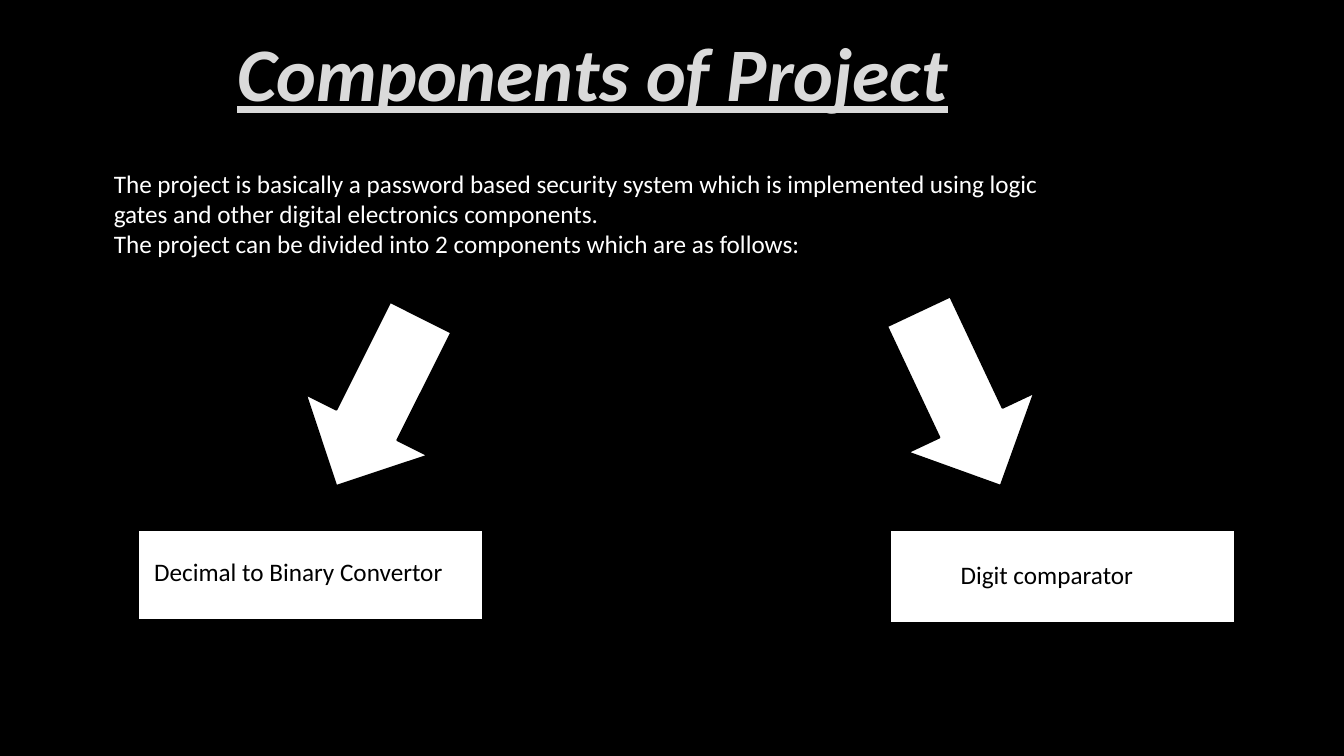
"""Build the slide that introduces the two components of the project."""
from pptx import Presentation
from pptx.dml.color import RGBColor
from pptx.enum.shapes import MSO_SHAPE as Shape
from pptx.enum.text import MSO_ANCHOR as Anchor, PP_ALIGN as Align
from pptx.util import Pt

COLORS = {"black": "000000", "white": "FFFFFF", "title": "DADADA"}

deck = Presentation()
deck.slide_width, deck.slide_height = Pt(960), Pt(540)
page = deck.slides.add_slide(deck.slide_layouts[6])
page.background.fill.solid()
page.background.fill.fore_color.rgb = RGBColor.from_string(COLORS["black"])


def add_text(left, top, width, height, lines, color, size=18, wrap=True):
    box = page.shapes.add_textbox(Pt(left), Pt(top), Pt(width), Pt(height))
    frame = box.text_frame
    frame.word_wrap = wrap
    for index, line in enumerate(lines):
        para = frame.add_paragraph() if index else frame.paragraphs[0]
        span = para.add_run()
        span.text = line
        span.font.name = "Calibri"
        span.font.size = Pt(size)
        span.font.color.rgb = RGBColor.from_string(COLORS[color])
    return frame


def add_white_shape(kind, left, top, width, height, rotation=0):
    shape = page.shapes.add_shape(kind, Pt(left), Pt(top), Pt(width), Pt(height))
    shape.rotation = rotation
    shape.shadow.inherit = False
    shape.fill.solid()
    shape.fill.fore_color.rgb = RGBColor.from_string(COLORS["white"])
    shape.line.color.rgb = RGBColor.from_string(COLORS["black"])
    shape.line.width = Pt(1.25)


title = add_text(116.6, 8.6, 613.4, 74.9, ["Components of Project"], "title", 54)
title.vertical_anchor = Anchor.BOTTOM
title.margin_bottom = 0
title.paragraphs[0].alignment = Align.CENTER
title_font = title.paragraphs[0].runs[0].font
title_font.bold = title_font.italic = title_font.underline = True

add_text(74.2, 116.6, 698.4, 72.7, [
    "The project is basically a password based security system which is "
    "implemented using logic gates and other digital electronics components.",
    "The project can be divided into 2 components which are as follows:",
], "white")

components = [
    ("Decimal to Binary Convertor", (98.6, 378.7, 246.2, 64.1),
     (103, 393.8, 238.3, 28.8), True, (221.8, 219.6, 97.2, 134.6, 26.6)),
    ("Digit comparator", (635.8, 378.7, 246.2, 66.2),
     (679, 396, 147.6, 28.8), False, (635.8, 216, 99.4, 137.5, 334.8)),
]
for name, panel, label, wrap, arrow in components:
    add_white_shape(Shape.RECTANGLE, *panel)
    add_text(*label, [name], "black", wrap=wrap)
    add_white_shape(Shape.DOWN_ARROW, *arrow)

deck.save("out.pptx")
